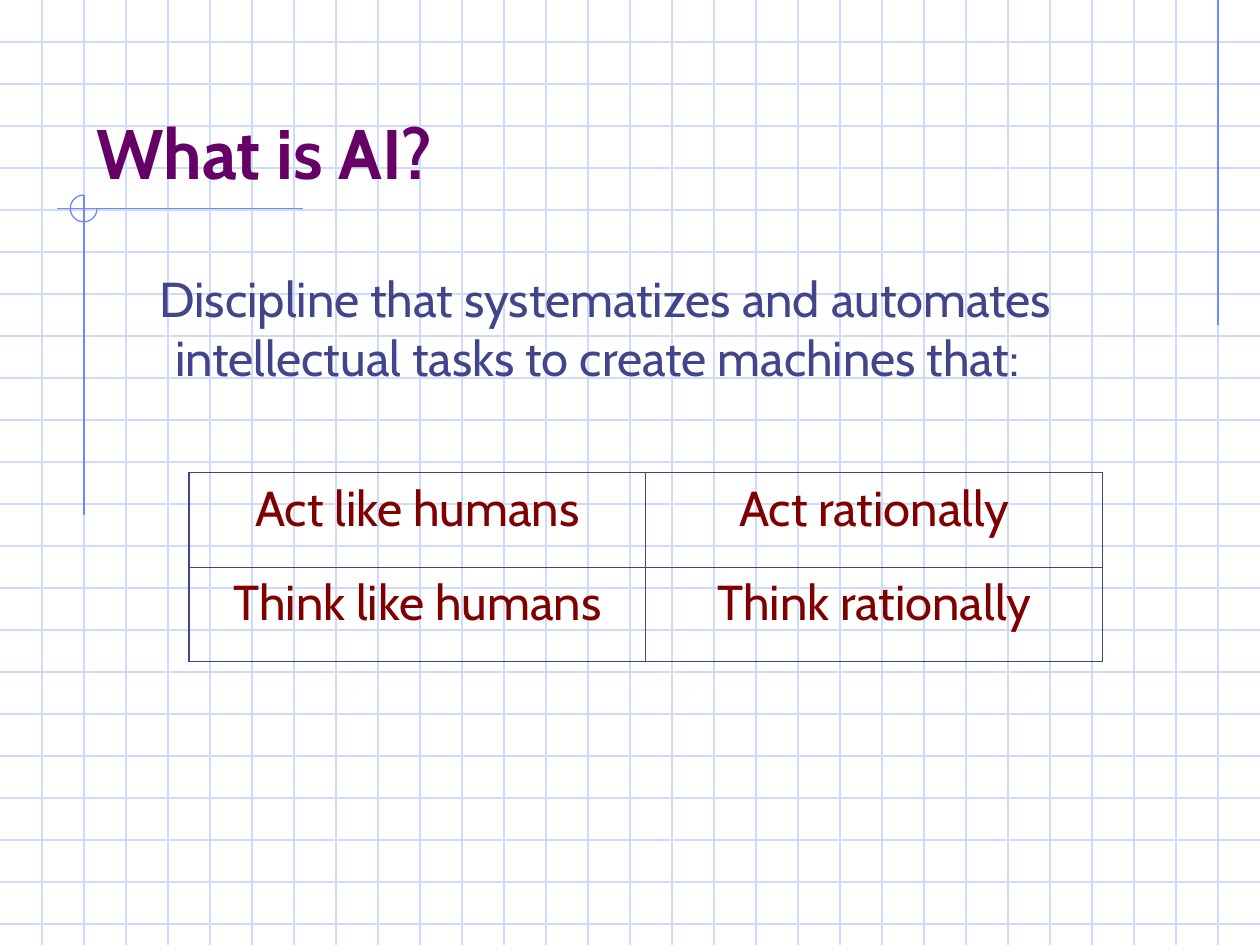
from dataclasses import dataclass

from lxml import etree
from pptx import Presentation, util as u
from pptx.dml.color import RGBColor
from pptx.enum import shapes, text
from pptx.oxml.ns import qn

Pt = u.Pt
FONT = "Cabin"
COLORS = {
    "grid": "CFDBFD",
    "accent": "6F89F7",
    "title": "660066",
    "body": "40458C",
    "cell": "800000",
}
WIDTH, HEIGHT, STEP = 720, 540, 24
OUTER, INNER = 1.08, 0.45


@dataclass
class Line:
    x1: float
    y1: float
    x2: float
    y2: float
    color: str


@dataclass
class TextStyle:
    size: float
    color: str
    bold: bool = False


TITLE = TextStyle(40, "title", True)
BODY = TextStyle(28, "body")
CELL = TextStyle(28, "cell")

GRID = [Line(0, y, WIDTH, y, "grid") for y in range(STEP, HEIGHT, STEP)]
GRID += [Line(x, 0, x, HEIGHT, "grid") for x in range(STEP, WIDTH, STEP)]
ACCENTS = [
    Line(696, 0, 696, 186, "accent"),
    Line(173, 119.2, 32.5, 119.2, "accent"),
    Line(48, 111.5, 48, 294.5, "accent"),
]
APPROACHES = [
    ["Act like humans", "Act rationally"],
    ["Think like humans", "Think rationally"],
]


def rgb(name: str) -> RGBColor:
    return RGBColor.from_string(COLORS[name])


def draw_line(s, line: Line) -> None:
    ends = (Pt(v) for v in (line.x1, line.y1, line.x2, line.y2))
    sp = s.shapes.add_connector(shapes.MSO_CONNECTOR.STRAIGHT, *ends)
    sp.line.color.rgb = rgb(line.color)
    sp.line.width = Pt(0.75)
    etree.SubElement(sp._element.spPr, qn("a:effectLst"))


def draw_arc(s, left: float, top: float, size: float) -> None:
    """Three quarters of a circle, open at the upper right."""
    sp = s.shapes.add_shape(shapes.MSO_SHAPE.ARC, Pt(left), Pt(top), Pt(size), Pt(size))
    sp.adjustments[0] = 0
    sp.adjustments[1] = 162
    sp.shadow.inherit = False
    sp.fill.background()
    sp.line.color.rgb = rgb("accent")
    sp.line.width = Pt(0.75)


def add_run(p, words: str, style: TextStyle) -> None:
    r = p.add_run()
    r.text = words
    r.font.name = FONT
    r.font.size = Pt(style.size)
    r.font.bold = style.bold
    r.font.color.rgb = rgb(style.color)


def add_text(s, left: float, top: float, width: float, height: float,
             words: str, style: TextStyle, anchor=text.MSO_ANCHOR.TOP):
    tf = s.shapes.add_textbox(Pt(left), Pt(top), Pt(width), Pt(height)).text_frame
    tf.word_wrap = True
    tf.vertical_anchor = anchor
    p = tf.paragraphs[0]
    add_run(p, words, style)
    return p


def set_border(cell, side: str, width: float) -> None:
    ln = etree.Element(qn(f"a:ln{side}"), w=str(Pt(width)))
    fill = etree.SubElement(ln, qn("a:solidFill"))
    etree.SubElement(fill, qn("a:srgbClr"), val=COLORS["body"])
    tc_pr = cell._tc.get_or_add_tcPr()
    tc_pr.insert(len(tc_pr.findall("*")) - 1, ln)  # borders precede the fill


def add_approaches(s) -> None:
    rows, cols = len(APPROACHES), len(APPROACHES[0])
    table = s.shapes.add_table(rows, cols, Pt(108), Pt(270), Pt(522), Pt(108)).table
    table.first_row = table.horz_banding = False
    for i, row in enumerate(APPROACHES):
        for j, words in enumerate(row):
            cell = table.cell(i, j)
            cell.fill.background()
            edges = {"L": j == 0, "R": j == cols - 1, "T": i == 0, "B": i == rows - 1}
            for side, outer in edges.items():
                set_border(cell, side, OUTER if outer else INNER)
            p = cell.text_frame.paragraphs[0]
            p.alignment = text.PP_ALIGN.CENTER
            add_run(p, words, CELL)


def main() -> None:
    prs = Presentation()
    prs.slide_width, prs.slide_height = Pt(WIDTH), Pt(HEIGHT)
    s = prs.slides.add_slide(prs.slide_layouts[6])
    for line in GRID + ACCENTS:
        draw_line(s, line)
    draw_arc(s, 40.2, 111.5, 15.3)
    add_text(s, 48, 24, 612, 90, "What is AI?", TITLE, text.MSO_ANCHOR.BOTTOM)
    p = add_text(s, 66, 150, 618, 324,
                 "Discipline that systematizes and automates "
                 "intellectual tasks to create machines that:", BODY)
    p_pr = p._p.get_or_add_pPr()
    p_pr.set("marL", str(Pt(27)))
    p_pr.set("indent", str(Pt(-9)))
    add_approaches(s)
    prs.save("out.pptx")


if __name__ == "__main__":
    main()
